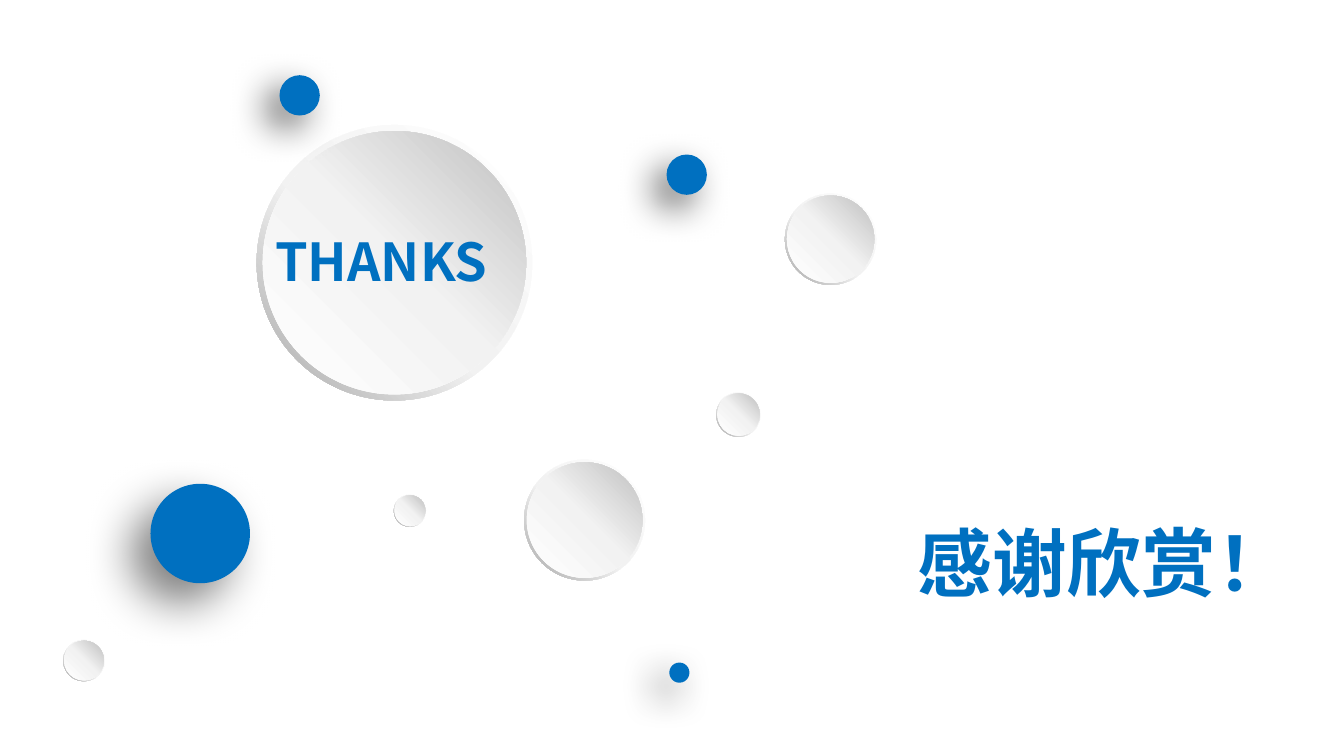
from lxml.etree import SubElement
from pptx import Presentation
from pptx.dml.color import RGBColor
from pptx.enum.shapes import MSO_SHAPE as Shape
from pptx.enum.text import MSO_AUTO_SIZE as AutoSize
from pptx.oxml import parse_xml
from pptx.oxml.ns import nsdecls, qn
from pptx.util import Inches, Pt

BLUE = "0070C0"
FONT = "Noto Sans CJK SC"


def color(value):
    return RGBColor.from_string(value)


def add_round(shapes, kind, left, top, diameter):
    shape = shapes.add_shape(kind, Inches(left), Inches(top), Inches(diameter), Inches(diameter))
    shape.line.fill.background()
    shape.shadow.inherit = False
    return shape


presentation = Presentation()
presentation.slide_width = Inches(10)
presentation.slide_height = Inches(10) * 9 // 16
slide = presentation.slides.add_slide(presentation.slide_layouts[6])

discs = [
    (1.91, 0.93, 2.05),
    (5.33, 2.92, 0.33),
    (5.84, 1.44, 0.68),
    (2.93, 3.68, 0.24),
    (0.47, 4.76, 0.31),
    (3.90, 3.42, 0.90),
]
for left, top, diameter in discs:
    group = slide.shapes.add_group_shape()
    inset = 0.022 * diameter
    rim = add_round(group.shapes, Shape.DONUT, left, top, diameter)
    rim.adjustments[0] = 0.049
    face = add_round(group.shapes, Shape.OVAL, left + inset, top + inset, diameter - 2 * inset)
    for shape, middle, dark, angle in [(rim, 55, "A6A6A6", 135), (face, 51, "BFBFBF", 315)]:
        stops = "".join(
            f'<a:gs pos="{position * 1000}"><a:srgbClr val="{value}"/></a:gs>'
            for position, value in [(0, "FFFFFF"), (middle, "F2F2F2"), (100, dark)]
        )
        gradient = parse_xml(
            f'<a:gradFill {nsdecls("a")} rotWithShape="1"><a:gsLst>{stops}</a:gsLst>'
            f'<a:lin ang="{angle * 60000}" scaled="0"/></a:gradFill>'
        )
        shape.element.spPr.find(qn("a:prstGeom")).addnext(gradient)

dots = [
    (1.12, 3.60, 0.74, 50, 25, 15),
    (2.08, 0.56, 0.30, 60, 20, 10),
    (4.96, 1.15, 0.30, 60, 20, 10),
    (4.98, 4.93, 0.15, 60, 20, 10),
]
for left, top, diameter, opacity, blur, distance in dots:
    dot = add_round(slide.shapes, Shape.OVAL, left, top, diameter)
    dot.fill.solid()
    dot.fill.fore_color.rgb = color(BLUE)
    shadow = parse_xml(
        f'<a:outerShdw {nsdecls("a")} blurRad="{Pt(blur)}" dist="{Pt(distance)}" '
        f'dir="{135 * 60000}" algn="tr" rotWithShape="0"><a:srgbClr val="000000">'
        f'<a:alpha val="{opacity * 1000}"/></a:srgbClr></a:outerShdw>'
    )
    dot.element.spPr.find(qn("a:effectLst")).append(shadow)

titles = [
    ("THANKS", 1.95, 1.66, 1.91, 0.57, 28),
    ("感谢欣赏！", 6.73, 3.80, 3.01, 0.77, 40),
]
for text, left, top, width, height, size in titles:
    title = slide.shapes.add_textbox(Inches(left), Inches(top), Inches(width), Inches(height))
    frame = title.text_frame
    frame.word_wrap = False
    frame.auto_size = AutoSize.SHAPE_TO_FIT_TEXT
    paragraph = frame.paragraphs[0]
    paragraph.text = text
    font = paragraph.font
    font.name = FONT
    font.size = Pt(size)
    font.bold = True
    font.color.rgb = color(BLUE)
    properties = paragraph._p.pPr.find(qn("a:defRPr"))
    SubElement(properties, qn("a:ea")).set("typeface", FONT)

presentation.save("out.pptx")
